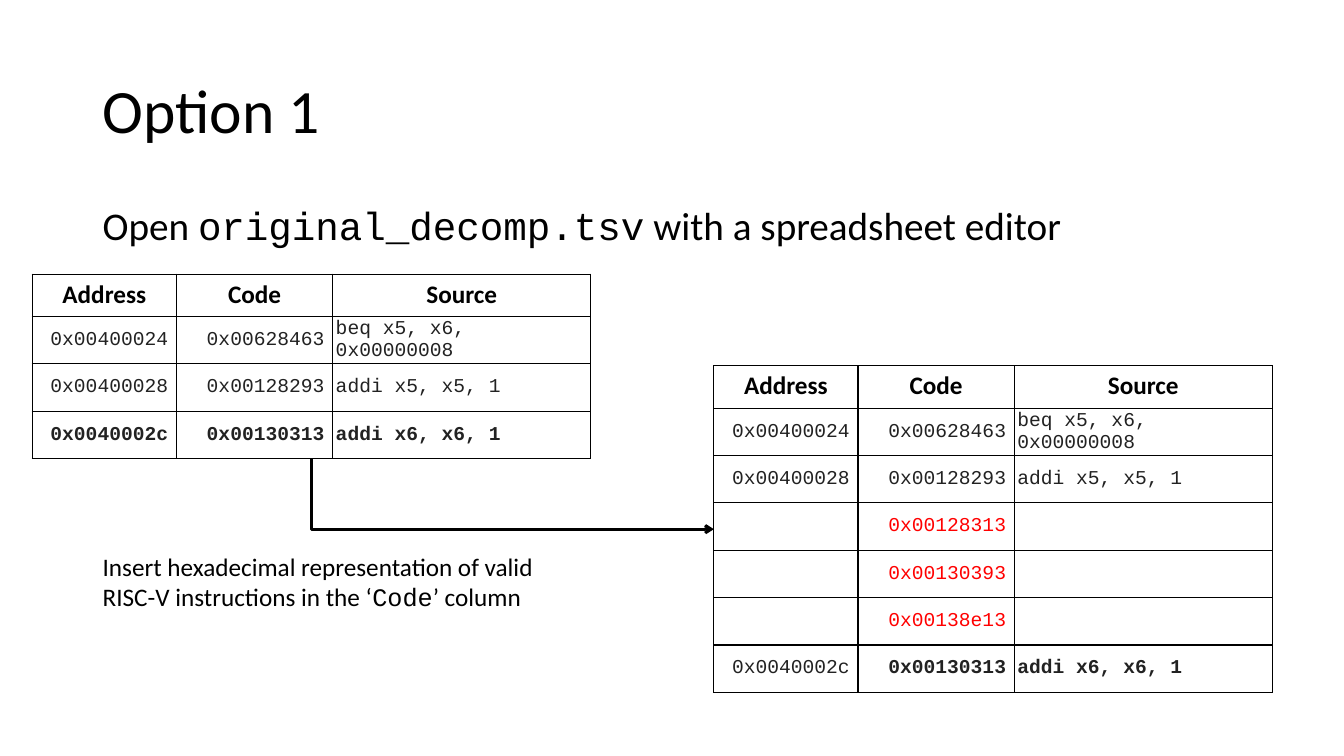
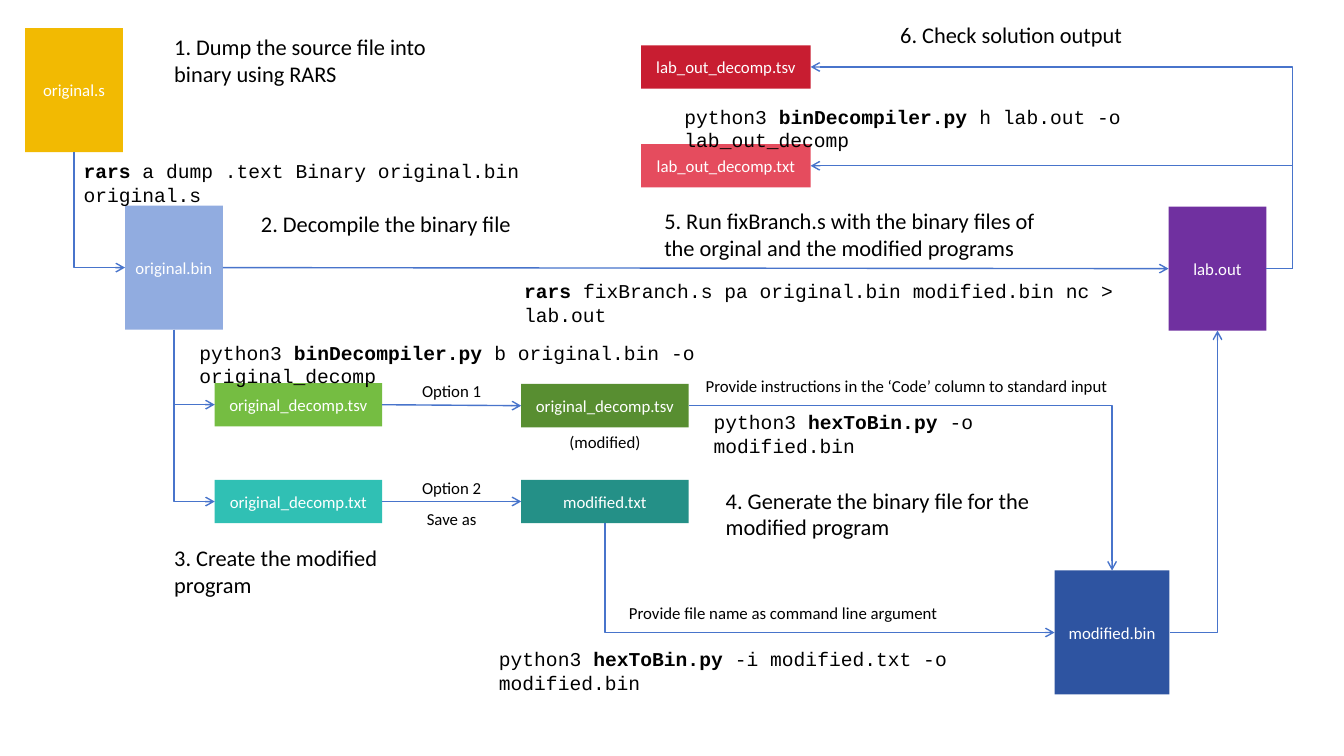
from lxml import etree
from pptx import Presentation
from pptx import util as u
from pptx.dml.color import RGBColor
from pptx.enum import shapes, text
from pptx.oxml import ns

Inches, Pt = u.Inches, u.Pt

THEME = {
    "sans": "Calibri",
    "mono": "Courier New",
    "black": "000000",
    "white": "FFFFFF",
    "code": "222222",
    "inserted": "FF0000",
    "flow": "4874CB",
    "title_size": 44,
    "body_size": 28,
    "note_size": 18,
    "step_size": 16,
    "code_size": 14,
    "label_size": 12,
}
SANS = {"name": THEME["sans"], "color": THEME["black"], "bold": False}
MONO = {**SANS, "name": THEME["mono"]}
CODE_FONT = {"name": THEME["mono"]}
BOLD = {"bold": True}
LEFT, CENTER, RIGHT = text.PP_ALIGN.LEFT, text.PP_ALIGN.CENTER, text.PP_ALIGN.RIGHT
MIDDLE = text.MSO_ANCHOR.MIDDLE


def write_text(frame, marked, style, emphasis=None, align=LEFT):
    """Fill the first paragraph; pieces between bars take the emphasis style."""
    paragraph = frame.paragraphs[0]
    paragraph.alignment = align
    for index, piece in enumerate(marked.split("|")):
        if not piece:
            continue
        values = {**style, **(emphasis if index % 2 else {})}
        run = paragraph.add_run()
        run.text = piece
        run.font.size = Pt(values["size"])
        run.font.color.rgb = RGBColor.from_string(values["color"])
        for name in ("name", "bold"):
            setattr(run.font, name, values[name])
    return paragraph


def add_arrow(slide, start, end, route, color, width):
    """Routes: straight; across (then up or down); down (then right); loop (round the right)."""
    preset = {"straight": "line", "across": "bentConnector2",
              "down": "bentConnector2", "loop": "bentConnector3"}[route]
    kind = shapes.MSO_CONNECTOR.STRAIGHT if route == "straight" else shapes.MSO_CONNECTOR.ELBOW
    connector = slide.shapes.add_connector(kind, *start, *end)
    properties = connector._element.spPr
    geometry = properties.find(ns.qn("a:prstGeom"))
    geometry.set("prst", preset)
    if route == "down":
        across, down = connector.width, connector.height
        connector.left += (across - down) // 2
        connector.top += (down - across) // 2
        connector.width, connector.height = down, across
        frame = properties.find(ns.qn("a:xfrm"))
        frame.set("rot", "5400000")
        frame.set("flipV", "1")
    elif route == "loop":
        guide = etree.SubElement(geometry.find(ns.qn("a:avLst")), ns.qn("a:gd"))
        guide.set("name", "adj1")
        guide.set("fmla", "val -5800")
    connector.line.color.rgb = RGBColor.from_string(color)
    connector.line.width = Pt(width)
    line = properties.find(ns.qn("a:ln"))
    etree.SubElement(line, ns.qn("a:tailEnd")).set("type", "arrow")
    etree.SubElement(properties, ns.qn("a:effectLst"))
    return connector


presentation = Presentation()
presentation.slide_width, presentation.slide_height = Inches(13.33), Inches(7.5)
blank = presentation.slide_layouts[6]

# Slide 1: editing the table
slide = presentation.slides.add_slide(blank)
for at, size, marked, spacing, anchor in [
    ((0.92, 0.4, 11.5, 1.45), "title_size", "Option 1", 0.9, MIDDLE),
    ((0.92, 2, 11.5, 0.64), "body_size",
     "Open |original_decomp.tsv| with a spreadsheet editor", 0.9, text.MSO_ANCHOR.TOP),
    ((0.92, 5.42, 4.7, 0.71), "note_size",
     "Insert hexadecimal representation of valid RISC-V instructions in the ‘|Code|’ column",
     1.0, text.MSO_ANCHOR.TOP),
]:
    frame = slide.shapes.add_textbox(*map(Inches, at)).text_frame
    frame.word_wrap = True
    frame.vertical_anchor = anchor
    paragraph = write_text(frame, marked, {**SANS, "size": THEME[size]}, CODE_FONT)
    paragraph.line_spacing = spacing

HEADER = ("Address", "Code", "Source")
FIRST_ROWS = [
    ("0x00400024", "0x00628463", "beq x5, x6, 0x00000008"),
    ("0x00400028", "0x00128293", "addi x5, x5, 1"),
]
COLUMN_WIDTHS = (1.43, 1.55, 2.56)
HEADER_HEIGHT, ROW_HEIGHT = 0.42, 0.47
before = FIRST_ROWS + [("|0x0040002c|", "|0x00130313|", "|addi x6, x6, 1|")]
inserted = [("", code, "") for code in ("0x00128313", "0x00130393", "0x00138e13")]
after = FIRST_ROWS + inserted + [("0x0040002c", "|0x00130313|", "|addi x6, x6, 1|")]

for left, top, rows in [(0.32, 2.72, before), (7.08, 3.63, after)]:
    table = slide.shapes.add_table(
        len(rows) + 1, len(HEADER), Inches(left), Inches(top),
        Inches(sum(COLUMN_WIDTHS)), Inches(HEADER_HEIGHT + ROW_HEIGHT * len(rows))).table
    table.first_row = table.horz_banding = False
    for column, width in zip(table.columns, COLUMN_WIDTHS):
        column.width = Inches(width)
    for row_index, values in enumerate([HEADER] + rows):
        is_header = row_index == 0
        table.rows[row_index].height = Inches(HEADER_HEIGHT if is_header else ROW_HEIGHT)
        for column_index, value in enumerate(values):
            cell = table.cell(row_index, column_index)
            cell_properties = cell._tc.get_or_add_tcPr()
            for side in ("a:lnL", "a:lnR", "a:lnT", "a:lnB"):
                border = etree.SubElement(cell_properties, ns.qn(side))
                border.set("w", str(Pt(1)))
                fill = etree.SubElement(border, ns.qn("a:solidFill"))
                etree.SubElement(fill, ns.qn("a:srgbClr")).set("val", THEME["black"])
            cell.fill.background()
            if is_header:
                style = {**SANS, **BOLD, "size": THEME["note_size"]}
                write_text(cell.text_frame, value, style, align=CENTER)
            elif value:
                is_source = column_index == 2
                cell.vertical_anchor = MIDDLE
                cell.margin_top = cell.margin_bottom = 0
                cell.margin_left = Inches(0.03)
                cell.margin_right = Inches(0 if is_source else 0.08)
                color = THEME["code" if values[0] else "inserted"]
                style = {**MONO, "size": THEME["code_size"], "color": color}
                write_text(cell.text_frame, value, style, BOLD, LEFT if is_source else RIGHT)

add_arrow(slide, (Inches(3.09), Inches(4.55)), (Inches(7.08), Inches(5.25)),
          "down", THEME["black"], 2)

# Slide 2: the whole workflow
slide = presentation.slides.add_slide(blank)
TALL, DECOMP, OUTPUT = (0.97, 1.23), (1.66, 0.43), (1.68, 0.43)
boxes, sides = {}, {}
for key, label, place, size, color in [
    ("source", "original.s", (0.25, 0.28), TALL, "F2BA02"),
    ("binary", "original.bin", (1.24, 2.04), TALL, "91ACE0"),
    ("tsv", "original_decomp.tsv", (2.13, 3.8), DECOMP, "75BD42"),
    ("txt", "original_decomp.txt", (2.13, 4.76), DECOMP, "30C0B4"),
    ("modified tsv", "original_decomp.tsv", (5.17, 3.81), DECOMP, "588E31"),
    ("modified txt", "modified.txt", (5.17, 4.76), DECOMP, "249087"),
    ("modified binary", "modified.bin", (10.46, 5.66), (1.14, 1.23), "2E54A1"),
    ("lab", "lab.out", (11.59, 2.05), TALL, "7030A0"),
    ("lab tsv", "lab_out_decomp.tsv", (6.36, 0.45), OUTPUT, "C81D31"),
    ("lab txt", "lab_out_decomp.txt", (6.36, 1.43), OUTPUT, "E54C5E"),
]:
    box = slide.shapes.add_shape(shapes.MSO_SHAPE.RECTANGLE, *map(Inches, place + size))
    box.shadow.inherit = False
    box.fill.solid()
    box.fill.fore_color.rgb = RGBColor.from_string(color)
    box.line.fill.background()
    box.text_frame.word_wrap = True
    box.text_frame.vertical_anchor = MIDDLE
    style = {**SANS, "size": THEME["label_size"], "color": THEME["white"]}
    write_text(box.text_frame, label, style, align=CENTER)
    center_x, center_y = box.left + box.width // 2, box.top + box.height // 2
    boxes[key] = box
    sides[key] = [(center_x, box.top), (box.left, center_y),
                  (center_x, box.top + box.height), (box.left + box.width, center_y)]

for begin, begin_side, end, end_side, route in [
    ("source", 2, "binary", 1, "down"),
    ("binary", 2, "tsv", 1, "down"),
    ("binary", 2, "txt", 1, "down"),
    ("binary", 3, "lab", 1, "straight"),
    ("tsv", 3, "modified tsv", 1, "straight"),
    ("txt", 3, "modified txt", 1, "straight"),
    ("modified txt", 2, "modified binary", 1, "down"),
    ("modified tsv", 3, "modified binary", 0, "across"),
    ("modified binary", 3, "lab", 2, "across"),
    ("lab", 3, "lab txt", 3, "loop"),
    ("lab", 3, "lab tsv", 3, "loop"),
]:
    connector = add_arrow(slide, sides[begin][begin_side], sides[end][end_side],
                          route, THEME["flow"], 1)
    if route == "straight":
        connector.begin_connect(boxes[begin], begin_side)
        connector.end_connect(boxes[end], end_side)

STEP = {**SANS, "size": THEME["step_size"]}
COMMAND = {**MONO, "size": THEME["code_size"]}
LABEL = {**SANS, "size": THEME["label_size"]}
for style, align, entries in [
    (STEP, LEFT, [
        ((1.63, 0.28, 2.94, 1.06), "1. Dump the source file into binary using RARS"),
        ((2.49, 2.04, 2.94, 0.54), "2. Decompile the binary file"),
        ((1.63, 5.35, 2.33, 0.7), "3. Create the modified program"),
        ((7.1, 4.78, 3.97, 0.7), "4. Generate the binary file for the modified program"),
        ((6.49, 2.01, 4.14, 0.64),
         "5. Run fixBranch.s with the binary files of the orginal and the modified programs"),
        ((8.83, 0.16, 2.88, 0.37), "6. Check solution output"),
    ]),
    (COMMAND, LEFT, [
        ((0.73, 1.53, 5.41, 0.34), "|rars| a dump .text Binary original.bin original.s"),
        ((1.88, 3.33, 6.41, 0.37),
         "python3 |binDecompiler.py| b original.bin -o original_decomp"),
        ((4.85, 6.37, 5.7, 0.34), "python3 |hexToBin.py| -i modified.txt -o modified.bin"),
        ((6.98, 4.02, 3.99, 0.34), "python3 |hexToBin.py| -o modified.bin"),
        ((5.1, 2.72, 6.5, 0.34),
         "|rars |fixBranch.s pa original.bin modified.bin nc > lab.out"),
        ((6.69, 0.99, 5.98, 0.34), "python3 |binDecompiler.py| h lab.out -o lab_out_decomp"),
    ]),
    (LABEL, CENTER, [
        ((5.51, 4.23, 0.98, 0.3), "(modified)"),
        ((4.06, 3.73, 0.84, 0.3), "Option 1"),
        ((4.06, 4.69, 0.84, 0.3), "Option 2"),
        ((4.06, 5, 0.84, 0.3), "Save as"),
    ]),
    (LABEL, LEFT, [
        ((6.14, 5.93, 3.3, 0.3), "Provide file name as command line argument"),
        ((6.9, 3.68, 4.35, 0.3),
         "Provide instructions in the ‘Code’ column to standard input"),
    ]),
]:
    for at, marked in entries:
        frame = slide.shapes.add_textbox(*map(Inches, at)).text_frame
        frame.word_wrap = True
        write_text(frame, marked, style, BOLD, align)

presentation.save("out.pptx")
